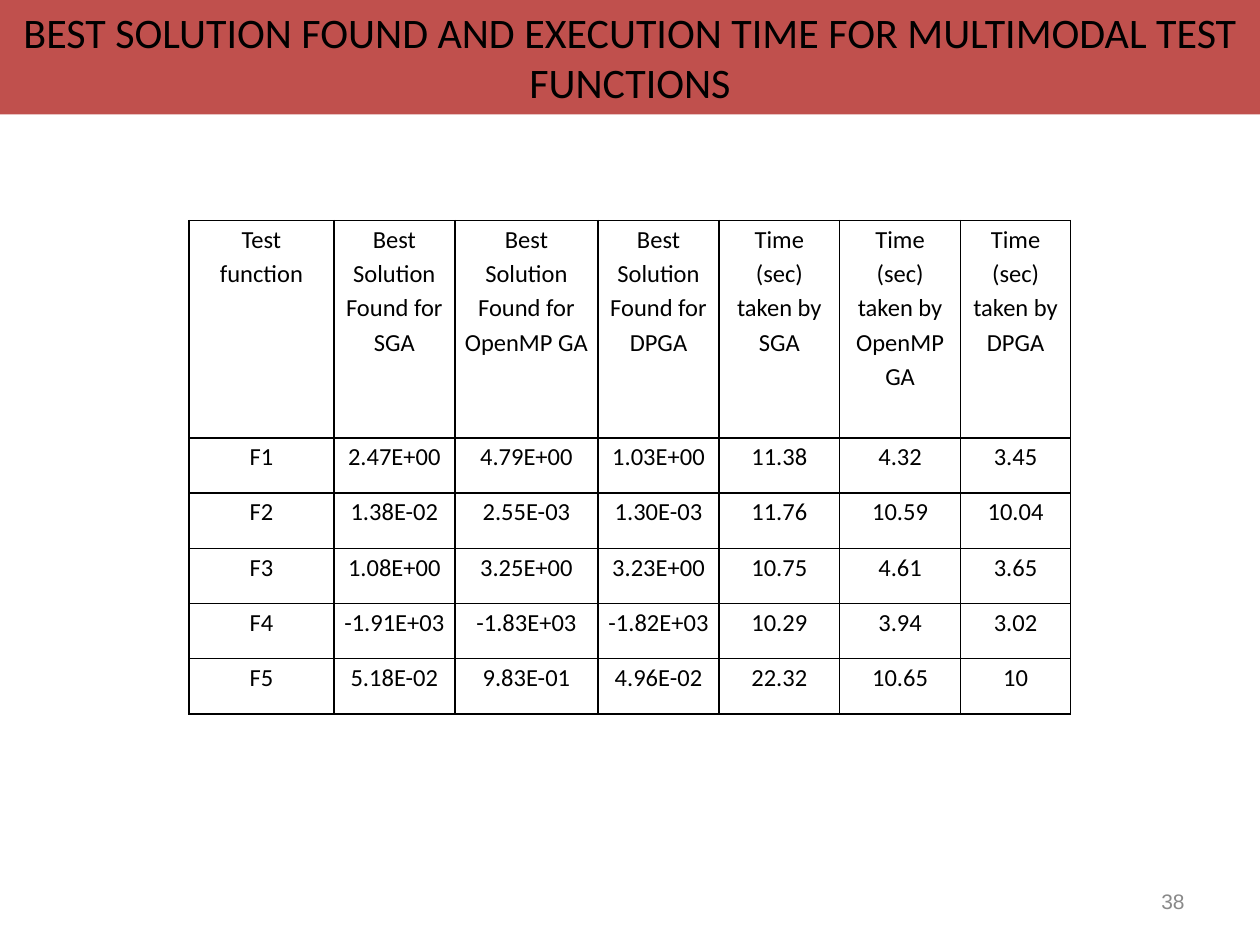
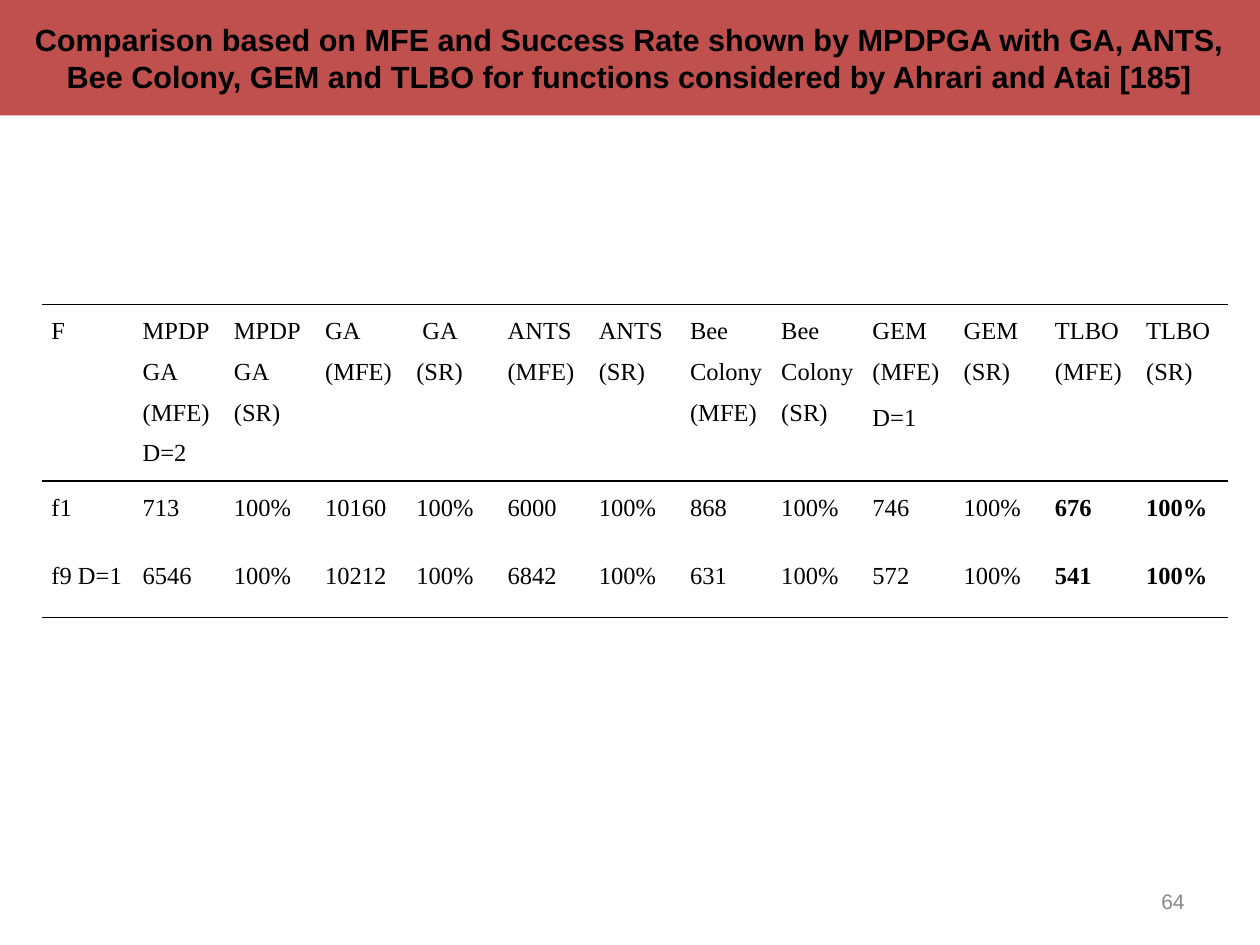
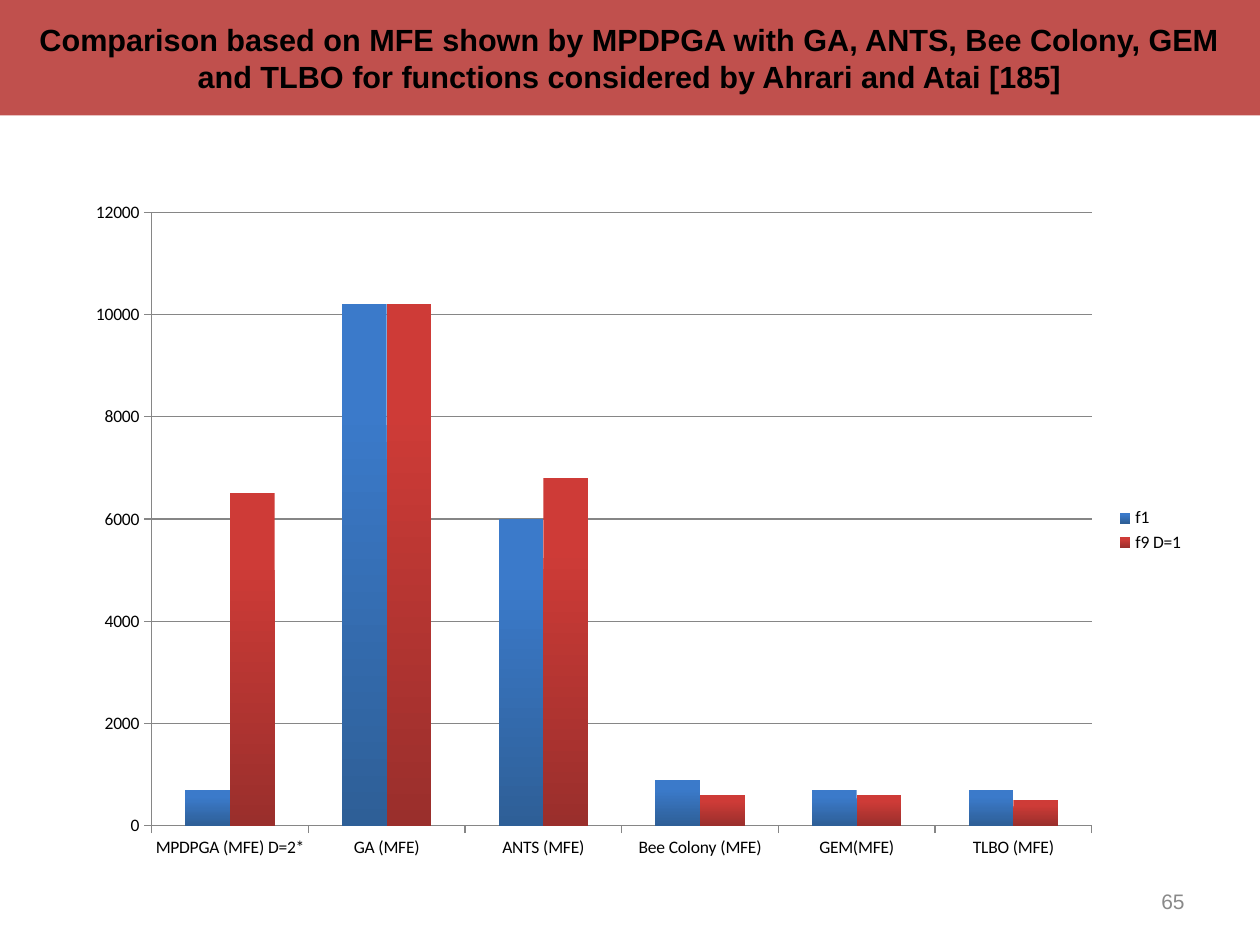
from dataclasses import dataclass

from lxml import etree
from pptx import Presentation
from pptx.chart.data import CategoryChartData
from pptx.dml.color import RGBColor
from pptx.enum.chart import XL_CHART_TYPE, XL_LEGEND_POSITION, XL_TICK_MARK
from pptx.enum.text import MSO_ANCHOR, MSO_AUTO_SIZE, PP_ALIGN
from pptx.oxml.ns import qn
from pptx.util import Inches, Length, Pt

BARS = XL_CHART_TYPE.COLUMN_CLUSTERED
RIGHT_KEY = XL_LEGEND_POSITION.RIGHT
OUT = XL_TICK_MARK.OUTSIDE
TOP, MIDDLE = MSO_ANCHOR.TOP, MSO_ANCHOR.MIDDLE
NO_FIT = MSO_AUTO_SIZE.NONE
LEFT, CENTER, RIGHT = PP_ALIGN.LEFT, PP_ALIGN.CENTER, PP_ALIGN.RIGHT

WIDE, HIGH = Inches(10), Inches(7.5)
COLS, ROWS = 120, 90
BLACK, WHITE, RED, GRAY, AXIS = "000000", "FFFFFF", "C0504D", "898989", "868686"
SIDES = ("L", "R", "T", "B")


@dataclass(frozen=True)
class Box:
    col: float
    row: float
    cols: float
    rows: float

    def place(self) -> tuple[Length, ...]:
        return (across(self.col), down(self.row),
                across(self.cols), down(self.rows))


@dataclass(frozen=True)
class Face:
    font: str
    size: float
    color: str = BLACK
    bold: bool = False


@dataclass(frozen=True)
class Head:
    text: str
    face: Face
    anchor: MSO_ANCHOR = MIDDLE
    rows: float = 11


@dataclass(frozen=True)
class Grid:
    box: Box
    cells: list[list[str]]
    widths: list[float]
    top: float
    face: Face
    align: PP_ALIGN
    pitch: float
    before: float
    ruled: bool
    strong: int = 0


@dataclass(frozen=True)
class Hue:
    light: str
    dark: str


PAGE = Box(86, 83.4, 28, 4.8)
PAGE_FACE = Face("Arial", 12, GRAY)
HEAD_FACE = Face("Arial", 17.5, bold=True)

TIMES = [
    ["Test function", "Best Solution Found for SGA",
     "Best Solution Found for OpenMP GA", "Best Solution Found for DPGA",
     "Time (sec) taken by SGA", "Time (sec) taken by OpenMP GA",
     "Time (sec) taken by DPGA"],
    ["F1", "2.47E+00", "4.79E+00", "1.03E+00", "11.38", "4.32", "3.45"],
    ["F2", "1.38E-02", "2.55E-03", "1.30E-03", "11.76", "10.59", "10.04"],
    ["F3", "1.08E+00", "3.25E+00", "3.23E+00", "10.75", "4.61", "3.65"],
    ["F4", "-1.91E+03", "-1.83E+03", "-1.82E+03", "10.29", "3.94", "3.02"],
    ["F5", "5.18E-02", "9.83E-01", "4.96E-02", "22.32", "10.65", "10"],
]
RATES = [
    ["F", "MPDPGA (MFE) D=2", "MPDPGA (SR)", "GA (MFE)", " GA (SR)",
     "ANTS (MFE)", "ANTS (SR)", "Bee Colony (MFE)", "Bee Colony (SR)",
     "GEM (MFE)\nD=1", "GEM (SR)", "TLBO (MFE)", "TLBO (SR)"],
    ["f1", "713", "100%", "10160", "100%", "6000", "100%", "868", "100%",
     "746", "100%", "676", "100%"],
    ["f9 D=1", "6546", "100%", "10212", "100%", "6842", "100%", "631", "100%",
     "572", "100%", "541", "100%"],
]
KINDS = ["MPDPGA (MFE) D=2*", "GA (MFE)", "ANTS (MFE)", "Bee Colony (MFE)",
         "GEM(MFE)", "TLBO (MFE)"]
HUES = [Hue("3B7ACA", "2E5F97"), Hue("CE3B37", "9A2F2C")]

TIME_GRID = Grid(
    Box(18, 21, 84, 47), TIMES, [13.8, 11.52, 13.64, 11.52, 11.5, 11.5, 10.5],
    20.7, Face("Calibri", 14), CENTER, 1.15, 0, True)
RATE_GRID = Grid(
    Box(4, 29, 113, 29.6), RATES, [113 / len(RATES[0])] * len(RATES[0]),
    16.6, Face("Times New Roman", 14), LEFT, 1.5, 3, False, 2)


def across(cols: float) -> Length:
    return Length(round(WIDE * cols / COLS))


def down(rows: float) -> Length:
    return Length(round(HIGH * rows / ROWS))


def rgb(code: str) -> RGBColor:
    return RGBColor.from_string(code)


def style(font, face: Face) -> None:
    font.name, font.size, font.bold = face.font, Pt(face.size), face.bold
    font.color.rgb = rgb(face.color)


def write(par, text: str, face: Face, align: PP_ALIGN,
          pitch: float = 1, before: float = 0) -> None:
    par.alignment, par.line_spacing = align, pitch
    par.space_before = Pt(before)
    run = par.add_run()
    run.text = text
    style(run.font, face)


def start(deck, head: Head, page: int):
    slide = deck.slides.add_slide(deck.slide_layouts[5])
    band = slide.shapes.title
    box = Box(0, 0, COLS, head.rows)
    band.left, band.top, band.width, band.height = box.place()
    band.fill.solid()
    band.fill.fore_color.rgb = rgb(RED)
    frame = band.text_frame
    frame.auto_size, frame.word_wrap = NO_FIT, True
    frame.vertical_anchor = head.anchor
    write(frame.paragraphs[0], head.text, head.face, CENTER)
    frame = slide.shapes.add_textbox(*PAGE.place()).text_frame
    frame.word_wrap, frame.vertical_anchor = True, MIDDLE
    write(frame.paragraphs[0], str(page), PAGE_FACE, RIGHT)
    return slide


def edge(cell, shown: str) -> None:
    props = cell._tc.get_or_add_tcPr()
    for side in SIDES:
        line = etree.SubElement(props, qn(f"a:ln{side}"), w=str(Pt(1)))
        if side in shown:
            fill = etree.SubElement(line, qn("a:solidFill"))
            etree.SubElement(fill, qn("a:srgbClr"), val=BLACK)
        else:
            etree.SubElement(line, qn("a:noFill"))


def draw_grid(slide, grid: Grid) -> None:
    count, span = len(grid.cells), len(grid.widths)
    table = slide.shapes.add_table(count, span, *grid.box.place()).table
    table.first_row = table.horz_banding = False
    for col, width in zip(table.columns, grid.widths):
        col.width = across(width)
    rest = (grid.box.rows - grid.top) / (count - 1)
    for y, texts in enumerate(grid.cells):
        table.rows[y].height = down(rest if y else grid.top)
        sides = ("T" if y < 2 else "") + ("B" if y in (0, count - 1) else "")
        for x, text in enumerate(texts):
            cell = table.cell(y, x)
            cell.margin_left = cell.margin_right = Pt(5.4)
            cell.margin_top = cell.margin_bottom = 0
            edge(cell, "LRTB" if grid.ruled else sides)
            cell.fill.solid()
            cell.fill.fore_color.rgb = rgb(WHITE)
            bold = y > 0 and x >= span - grid.strong
            face = Face(grid.face.font, grid.face.size, bold=bold)
            frame = cell.text_frame
            for n, part in enumerate(text.split("\n")):
                par = frame.add_paragraph() if n else frame.paragraphs[0]
                write(par, part, face, grid.align, grid.pitch, grid.before)


def draw_bars(slide, box: Box) -> None:
    data = CategoryChartData(number_format="0")
    data.categories = KINDS
    for name, *vals in RATES[1:]:
        data.add_series(name, [round(int(val), -2) for val in vals[::2]])
    chart = slide.shapes.add_chart(BARS, *box.place(), data).chart
    style(chart.font, Face("Calibri", 10))
    chart.has_title = False
    chart.has_legend = True
    chart.legend.position = RIGHT_KEY
    chart.legend.include_in_layout = False
    plot = chart.plots[0]
    plot.gap_width, plot.overlap = 150, 0
    plot.vary_by_categories = False
    for bar, hue in zip(plot.series, HUES):
        fill = bar.format.fill
        fill.gradient()
        fill.gradient_angle = 270
        light, dark = fill.gradient_stops
        light.position, dark.position = 0.2, 1
        light.color.rgb, dark.color.rgb = rgb(hue.light), rgb(hue.dark)
    value = chart.value_axis
    value.has_major_gridlines = True
    value.tick_labels.number_format = "0"
    value.tick_labels.number_format_is_linked = False
    for axis in (value, chart.category_axis):
        axis.major_tick_mark = OUT
    for part in (value, chart.category_axis, value.major_gridlines):
        part.format.line.color.rgb = rgb(AXIS)
        part.format.line.width = Pt(0.75)


def main() -> None:
    deck = Presentation()
    deck.slide_width, deck.slide_height = WIDE, HIGH
    slide = start(deck, Head(
        "BEST SOLUTION FOUND AND EXECUTION TIME FOR MULTIMODAL TEST FUNCTIONS",
        Face("Calibri", 24), TOP, 10.9), 38)
    draw_grid(slide, TIME_GRID)
    slide = start(deck, Head(
        "Comparison based on MFE and Success Rate shown by MPDPGA with GA, "
        "ANTS, Bee Colony, GEM and TLBO for functions considered by Ahrari "
        "and Atai [185]", HEAD_FACE), 64)
    draw_grid(slide, RATE_GRID)
    slide = start(deck, Head(
        "Comparison based on MFE shown by MPDPGA with GA, ANTS, Bee Colony, "
        "GEM and TLBO for functions considered by Ahrari and Atai [185]",
        HEAD_FACE), 65)
    draw_bars(slide, Box(7, 18, 107, 65))
    deck.save("out.pptx")


if __name__ == "__main__":
    main()
